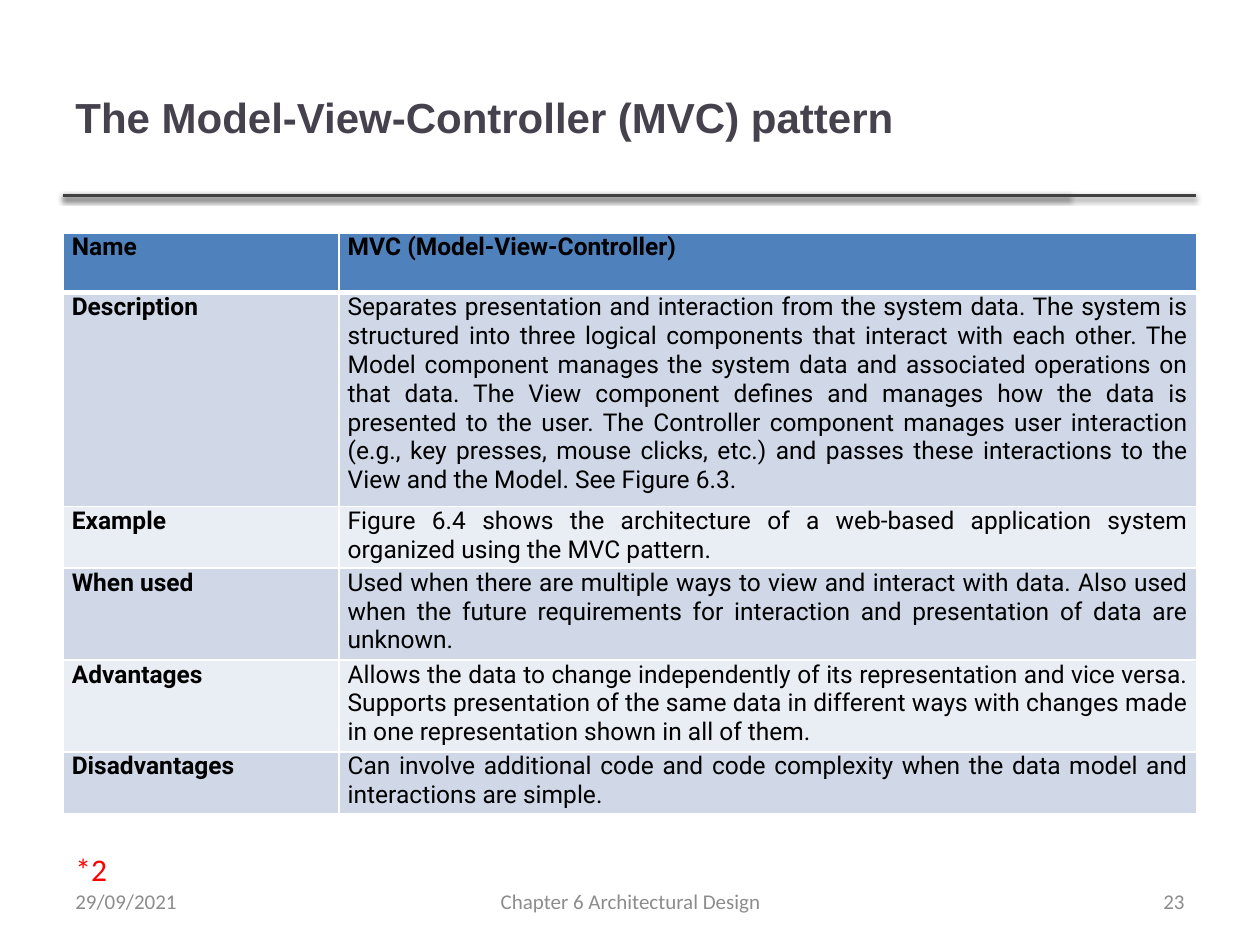
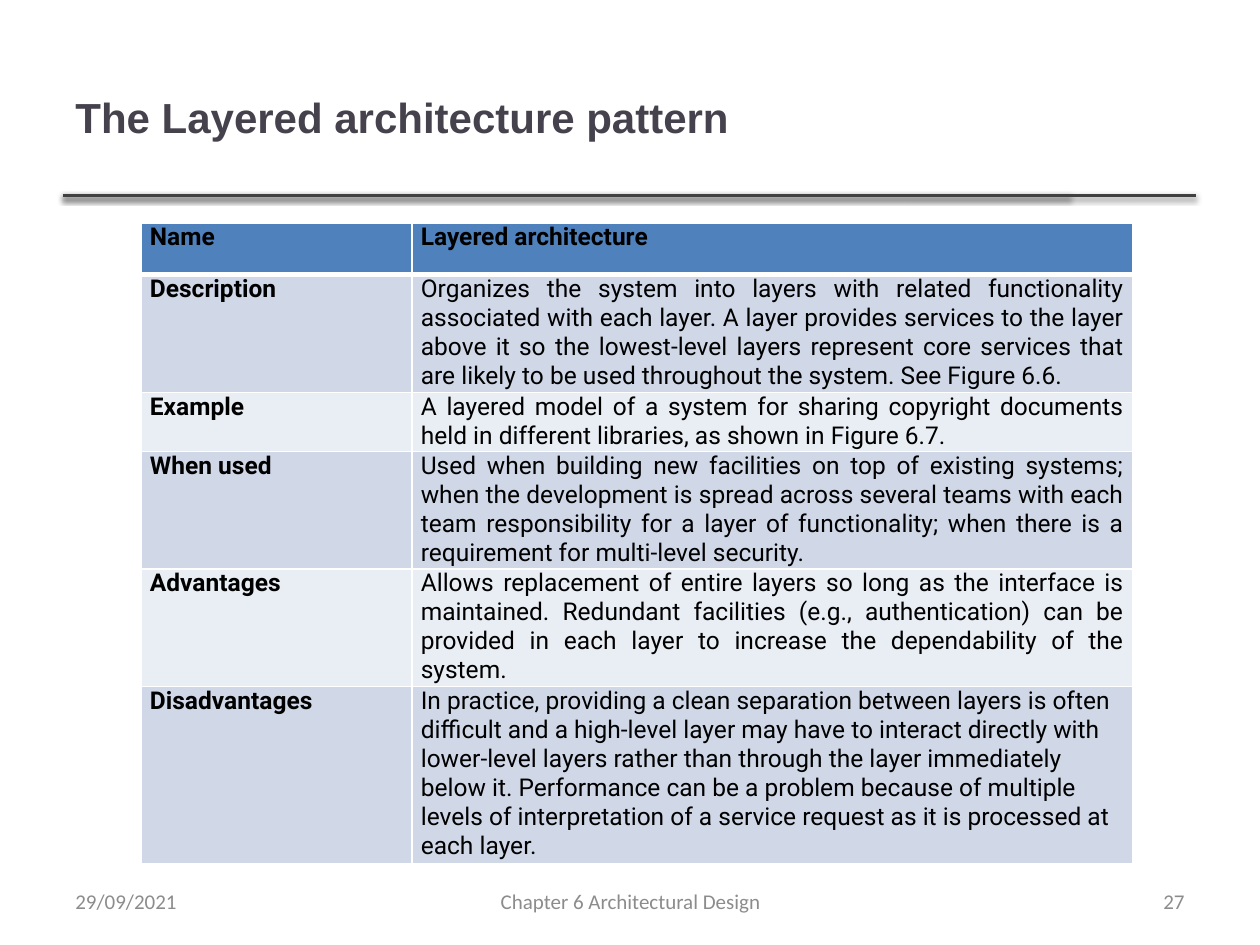
from dataclasses import dataclass

from lxml import etree
from pptx import Presentation
from pptx import util as u
from pptx.dml.color import RGBColor
from pptx.enum import shapes, text
from pptx.oxml import ns

LEFT, CENTER, RIGHT, JUSTIFY = (
    text.PP_ALIGN.LEFT, text.PP_ALIGN.CENTER, text.PP_ALIGN.RIGHT, text.PP_ALIGN.JUSTIFY)
TOP, MIDDLE = text.MSO_ANCHOR.TOP, text.MSO_ANCHOR.MIDDLE


# Look shared by both slides
@dataclass(frozen=True)
class Style:
    name: str
    size: float
    color: str
    bold: bool = False


@dataclass(frozen=True)
class Theme:
    title: Style = Style("Arial", 24, "46424D", True)
    label: Style = Style("Roboto", 14, "000000", True)
    body: Style = Style("Roboto", 14, "000000")
    footer: Style = Style("Calibri", 12, "8C8C8C")
    mark: Style = Style("Calibri", 18, "FF0000")
    header_fill: str = "4F81BD"
    band_fills: tuple[str, str] = ("D0D8E8", "E9EDF4")
    border: str = "FFFFFF"
    thin: float = 1
    thick: float = 3
    rule: str = "404040"
    rule_width: float = 2


THEME = Theme()


# Grid of 100 columns by 75 rows over the slide
SLIDE_WIDTH, SLIDE_HEIGHT = u.Inches(10), u.Inches(7.5)
COLUMNS, ROWS = 100, 75


def across(columns: float) -> int:
    return round(SLIDE_WIDTH * columns / COLUMNS)


def down(rows: float) -> int:
    return round(SLIDE_HEIGHT * rows / ROWS)


@dataclass(frozen=True)
class Area:
    left: float
    top: float
    width: float
    height: float

    def place(self) -> tuple[int, int, int, int]:
        return across(self.left), down(self.top), across(self.width), down(self.height)


@dataclass(frozen=True)
class PatternSlide:
    title: str
    number: str
    corner: tuple[float, float]
    widths: tuple[float, float]
    heights: tuple[float, ...]
    details: tuple[str, ...]
    last_align: text.PP_ALIGN = JUSTIFY
    mark: str = ""


TITLE_AREA = Area(5, 3, 79.8, 12.5)
MARK_AREA = Area(5, 67, 4.6, 4)
DATE_AREA = Area(5, 69.5, 23.3, 4)
CHAPTER_AREA = Area(34.2, 69.5, 31.7, 4)
NUMBER_AREA = Area(71.7, 69.5, 23.3, 4)
RULE_START, RULE_ENDS, RULE_ROW = 5, (84.9, 94.9), 15.5
CELL_INSET = 0.7

LABELS = ("Name", "Description", "Example", "When used", "Advantages", "Disadvantages")

SLIDES = (
    PatternSlide(
        title="The Model-View-Controller (MVC) pattern",
        number="23",
        corner=(5, 18.5),
        widths=(21.9, 68.1),
        heights=(4.7, 17, 4.9, 7.3, 7.3, 4.9),
        details=(
            "MVC (Model-View-Controller)",
            "Separates presentation and interaction from the system data. The system is "
            "structured into three logical components that interact with each other. The "
            "Model component manages the system data and associated operations on that "
            "data. The View component defines and manages how the data is presented to "
            "the user. The Controller component manages user interaction (e.g., key "
            "presses, mouse clicks, etc.) and passes these interactions to the View and "
            "the Model. See Figure 6.3.",
            "Figure 6.4 shows the architecture of a web-based application system "
            "organized using the MVC pattern.",
            "Used when there are multiple ways to view and interact with data. Also used "
            "when the future requirements for interaction and presentation of data are "
            "unknown.",
            "Allows the data to change independently of its representation and vice "
            "versa. Supports presentation of the same data in different ways with changes "
            "made in one representation shown in all of them.",
            "Can involve additional code and code complexity when the data model and "
            "interactions are simple.",
        ),
        mark="*2",
    ),
    PatternSlide(
        title="The Layered architecture pattern",
        number="27",
        corner=(11.2, 17.7),
        widths=(21.5, 57.2),
        heights=(4.1, 9.2, 4.6, 9.2, 9.2, 13.8),
        details=(
            "Layered architecture",
            "Organizes the system into layers with related functionality associated with "
            "each layer. A layer provides services to the layer above it so the "
            "lowest-level layers represent core services that are likely to be used "
            "throughout the system. See Figure 6.6.",
            "A layered model of a system for sharing copyright documents held in "
            "different libraries, as shown in Figure 6.7.",
            "Used when building new facilities on top of existing systems; when the "
            "development is spread across several teams with each team responsibility for "
            "a layer of functionality; when there is a requirement for multi-level "
            "security.",
            "Allows replacement of entire layers so long as the interface is maintained. "
            "Redundant facilities (e.g., authentication) can be provided in each layer to "
            "increase the dependability of the system.",
            "In practice, providing a clean separation between layers is often difficult "
            "and a high-level layer may have to interact directly with lower-level layers "
            "rather than through the layer immediately below it. Performance can be a "
            "problem because of multiple levels of interpretation of a service request as "
            "it is processed at each layer.",
        ),
        last_align=LEFT,
    ),
)


# Text
def set_all(target, values: dict) -> None:
    for name, value in values.items():
        setattr(target, name, value)


def write(frame, words: str, style: Style, align: text.PP_ALIGN) -> None:
    para = frame.paragraphs[0]
    para.alignment = align
    span = para.add_run()
    span.text = words
    set_all(span.font, {"name": style.name, "size": u.Pt(style.size), "bold": style.bold})
    span.font.color.rgb = RGBColor.from_string(style.color)


def add_text(page, area: Area, words: str, style: Style, align: text.PP_ALIGN = LEFT,
             anchor: text.MSO_ANCHOR = MIDDLE, wrap: bool = True) -> None:
    box = page.shapes.add_textbox(*area.place())
    set_all(box.text_frame, {"word_wrap": wrap, "vertical_anchor": anchor})
    write(box.text_frame, words, style, align)


# Title rule with a soft shadow
def add_rule(page, end: float) -> None:
    rule = page.shapes.add_connector(
        shapes.MSO_CONNECTOR.STRAIGHT,
        across(RULE_START), down(RULE_ROW), across(end), down(RULE_ROW))
    rule.line.width = u.Pt(THEME.rule_width)
    rule.line.color.rgb = RGBColor.from_string(THEME.rule)
    effects = etree.SubElement(rule._element.spPr, ns.qn("a:effectLst"))
    shadow = etree.SubElement(
        effects, ns.qn("a:outerShdw"), blurRad=str(u.Pt(3.1)), dist=str(u.Pt(1.6)),
        dir="5400000", rotWithShape="0")
    color = etree.SubElement(shadow, ns.qn("a:srgbClr"), val="000000")
    etree.SubElement(color, ns.qn("a:alpha"), val="38000")


# Table
def set_borders(cell, widths: dict[str, float]) -> None:
    properties = cell._tc.get_or_add_tcPr()
    for index, (side, width) in enumerate(widths.items()):
        line = etree.Element(ns.qn(f"a:ln{side}"), w=str(u.Pt(width)))
        fill = etree.SubElement(line, ns.qn("a:solidFill"))
        etree.SubElement(fill, ns.qn("a:srgbClr"), val=THEME.border)
        properties.insert(index, line)


def fill_cell(cell, words: str, style: Style, align: text.PP_ALIGN, row: int) -> None:
    inset = across(CELL_INSET)
    set_all(cell, {"margin_left": inset, "margin_right": inset, "margin_top": 0,
                   "margin_bottom": 0, "vertical_anchor": TOP})
    color = THEME.band_fills[(row - 1) % 2] if row else THEME.header_fill
    cell.fill.solid()
    cell.fill.fore_color.rgb = RGBColor.from_string(color)
    set_borders(cell, {"L": THEME.thin, "R": THEME.thin,
                       "T": THEME.thick if row == 1 else THEME.thin,
                       "B": THEME.thick if row == 0 else THEME.thin})
    write(cell.text_frame, words, style, align)


def add_pattern_table(page, content: PatternSlide) -> None:
    area = Area(*content.corner, sum(content.widths), sum(content.heights))
    table = page.shapes.add_table(len(LABELS), len(content.widths), *area.place()).table
    for column, width in zip(table.columns, content.widths):
        column.width = across(width)
    for row, height in enumerate(content.heights):
        table.rows[row].height = down(height)
        last = row == len(LABELS) - 1
        fill_cell(table.cell(row, 0), LABELS[row], THEME.label, JUSTIFY, row)
        fill_cell(table.cell(row, 1), content.details[row],
                  THEME.body if row else THEME.label,
                  content.last_align if last else JUSTIFY, row)


# Whole slide
def add_pattern_slide(deck, content: PatternSlide) -> None:
    page = deck.slides.add_slide(deck.slide_layouts[6])
    for end in RULE_ENDS:
        add_rule(page, end)
    add_text(page, TITLE_AREA, content.title, THEME.title)
    add_pattern_table(page, content)
    add_text(page, CHAPTER_AREA, "Chapter 6 Architectural Design", THEME.footer, CENTER)
    add_text(page, NUMBER_AREA, content.number, THEME.footer, RIGHT)
    add_text(page, DATE_AREA, "29/09/2021", THEME.footer)
    if content.mark:
        add_text(page, MARK_AREA, content.mark, THEME.mark, anchor=TOP, wrap=False)


def main() -> None:
    deck = Presentation()
    set_all(deck, {"slide_width": SLIDE_WIDTH, "slide_height": SLIDE_HEIGHT})
    for content in SLIDES:
        add_pattern_slide(deck, content)
    deck.save("out.pptx")


if __name__ == "__main__":
    main()
